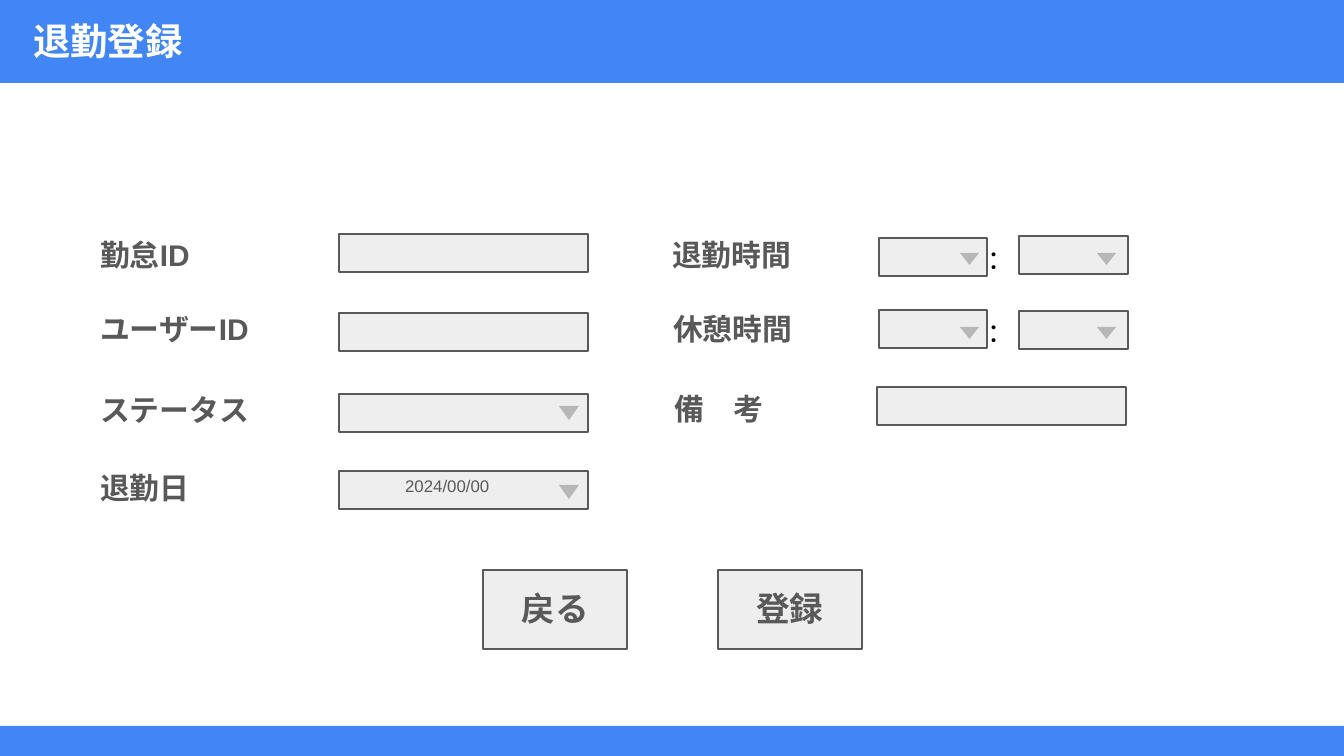
from pptx import Presentation
from pptx import util as u
from pptx.dml.color import RGBColor
from pptx.enum import shapes, text

PX = 914400 / 134.4
BLUE, WHITE, BLACK = "4285F4", "FFFFFF", "000000"
DARK, PALE, GRAY = "595959", "EEEEEE", "B7B7B7"


def emu(px):
    return u.Emu(round(px * PX))


def color(value):
    return RGBColor.from_string(value)


class FormSlide:
    """Draws the parts of an input form on one slide."""

    font = "Arial"

    def __init__(self, slide):
        self.slide = slide

    def block(self, kind, box, fill, line=None):
        shape = self.slide.shapes.add_shape(kind, *map(emu, box))
        shape.shadow.inherit = False
        shape.fill.solid()
        shape.fill.fore_color.rgb = color(fill)
        if line:
            shape.line.color.rgb = color(line)
            shape.line.width = u.Pt(0.75)
        else:
            shape.line.fill.background()

    def band(self, top, height):
        self.block(shapes.MSO_SHAPE.RECTANGLE, (-1, top, 1346, height), BLUE)

    def field(self, left, top, width=249, height=38):
        self.block(shapes.MSO_SHAPE.RECTANGLE, (left, top, width, height), PALE, DARK)

    def arrow(self, left, top, width=19, height=12):
        self.block(shapes.MSO_SHAPE.FLOWCHART_MERGE, (left, top, width, height), GRAY)

    def words(self, content, box, size, ink=DARK, bold=True, align=None, margin=13.44):
        frame = self.slide.shapes.add_textbox(*map(emu, box)).text_frame
        frame.word_wrap = True
        frame.auto_size = text.MSO_AUTO_SIZE.SHAPE_TO_FIT_TEXT
        frame.margin_left = frame.margin_right = emu(13.44)
        frame.margin_top = frame.margin_bottom = emu(margin)
        frame.text = content
        paragraph = frame.paragraphs[0]
        paragraph.alignment = align
        font = paragraph.runs[0].font
        font.name, font.size, font.bold = self.font, u.Pt(size), bold
        font.color.rgb = color(ink)

    def label(self, content, left, top, width):
        self.words(content, (left, top, width, 63), 16, align=text.PP_ALIGN.JUSTIFY)

    def colon(self, top):
        self.words("：", (974, top, 56, 46), 14, BLACK, False, margin=6.72)

    def button(self, content, left):
        self.field(left, 570, 144, 79)
        self.words(content, (left, 575, 144, 67), 18, align=text.PP_ALIGN.CENTER)


def main():
    presentation = Presentation()
    presentation.slide_width, presentation.slide_height = emu(1344), emu(756)
    form = FormSlide(presentation.slides.add_slide(presentation.slide_layouts[6]))

    form.band(0, 83)
    form.band(726, 31)
    form.words("退勤登録", (20, 5, 192, 73), 20, WHITE)

    left_rows = [("勤怠ID", 223, 234), ("ユーザーID", 297, 313),
                 ("ステータス", 378, 394), ("退勤日", 456, 471)]
    for name, label_top, field_top in left_rows:
        form.label(name, 87, label_top, 252)
        form.field(339, field_top)
    for top in (406, 485):
        form.arrow(559, top, 20, 14)
    form.words("2024/00/00", (392, 466, 196, 47), 9, bold=False)

    time_rows = [("退勤時間", 659, 223, 238, 236, 253, 237),
                 ("休憩時間", 660, 297, 310, 311, 327, 310)]
    for name, left, label_top, hour_top, minute_top, arrow_top, colon_top in time_rows:
        form.label(name, left, label_top, 218)
        form.field(879, hour_top, 108)
        form.field(1019, minute_top, 109)
        form.arrow(960, arrow_top)
        form.arrow(1097, arrow_top)
        form.colon(colon_top)

    form.label("備　考", 661, 377, 216)
    form.field(877, 387)

    form.button("戻る", 483)
    form.button("登録", 718)
    presentation.save("out.pptx")


if __name__ == "__main__":
    main()
